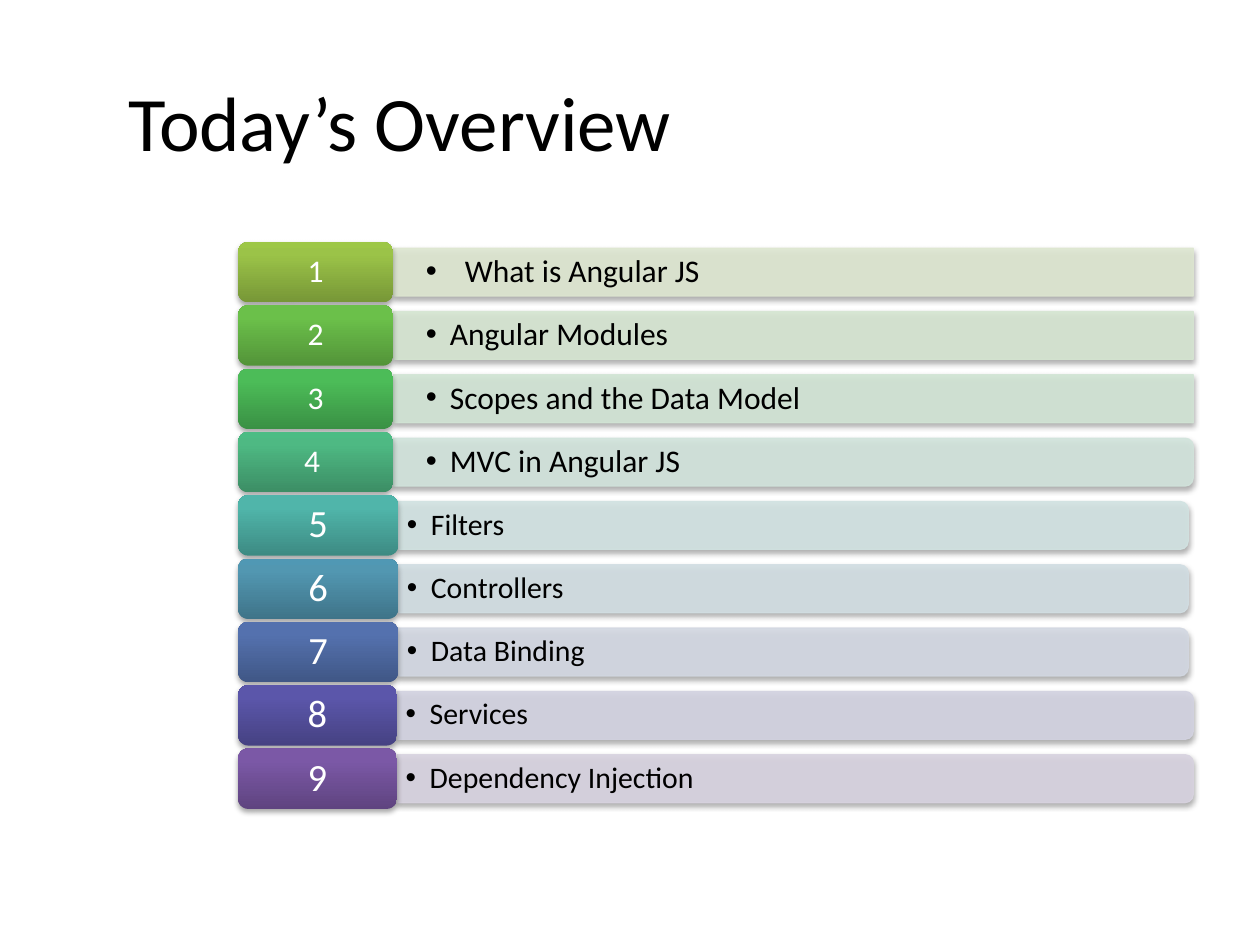
from lxml import etree
from pptx import Presentation
from pptx.dml.color import RGBColor
from pptx.enum.shapes import MSO_SHAPE
from pptx.enum.text import MSO_ANCHOR, PP_ALIGN
from pptx.oxml import parse_xml
from pptx.oxml.ns import nsdecls, qn
from pptx.util import Inches, Pt

RECT, ROUND_TOP = MSO_SHAPE.RECTANGLE, MSO_SHAPE.ROUND_2_SAME_RECTANGLE
ROUND = MSO_SHAPE.ROUNDED_RECTANGLE
MIDDLE = MSO_ANCHOR.MIDDLE
LEFT, CENTER = PP_ALIGN.LEFT, PP_ALIGN.CENTER
COLORS = {"text": "000000", "number": "FFFFFF", "shadow": "000000"}

GRID_LEFT, GRID_TOP = 1.89, 1.92
LAST_TOP = 5.94
CHIP_HEIGHT, BAR_HEIGHT = 0.48, 0.38

WIDE = {"chip": 1.23, "right": 9.47, "number": 18, "label": 18, "margin": 0.26, "hang": 0.19}
SMALL = {"chip": 1.27, "right": 9.43, "number": 22, "label": 17, "margin": 0.07, "hang": 0.19}
LOWER = SMALL | {"chip": 1.26, "right": 9.47}
TOPICS = [
    ("1", "What is Angular JS", RECT, WIDE | {"hang": 0.31}, "DEE7D1", ("779737", "9BC348", "9DC746")),
    ("2", "Angular Modules", RECT, WIDE, "D6E6D2", ("539439", "6BC04A", "6BC348")),
    ("3", "Scopes and the Data Model", RECT, WIDE, "D2E5D5", ("3A9144", "4CBC58", "4ABF57")),
    ("4 ", "MVC in Angular JS", ROUND_TOP, WIDE, "D2E4DC", ("3C8E65", "4EB983", "4CBC84")),
    ("5", "Filters", ROUND_TOP, SMALL, "D2E3E2", ("3D8B83", "50B5AA", "4EB8AC")),
    ("6", "Controllers", ROUND_TOP, SMALL, "D2DEE3", ("3F7489", "5297B1", "5098B4")),
    ("7", "Data Binding", ROUND_TOP, SMALL, "D3D8E2", ("405786", "5471AE", "5271B0")),
    ("8", "Services", ROUND_TOP, LOWER, "D3D3E1", ("464283", "5B56AA", "5A55AC")),
    ("9", "Dependency Injection", ROUND_TOP, LOWER, "D8D3E0", ("5F4480", "7B58A6", "7C57A8")),
]
ROW = (LAST_TOP - GRID_TOP) / (len(TOPICS) - 1)


def write(box, text, size, color, align, margin, spacing):
    frame = box.text_frame
    layout = {"word_wrap": True, "vertical_anchor": MIDDLE,
              "margin_left": Inches(margin), "margin_right": Inches(margin),
              "margin_top": Inches(0.05), "margin_bottom": Inches(0.05)}
    for name, value in layout.items():
        setattr(frame, name, value)
    para = frame.paragraphs[0]
    para.alignment, para.line_spacing = align, spacing
    span = para.add_run()
    span.text = text
    for name, value in {"name": "Calibri", "size": Pt(size)}.items():
        setattr(span.font, name, value)
    span.font.color.rgb = RGBColor.from_string(COLORS[color])
    return para


def add_shadow(shape):
    shape._element.spPr.append(parse_xml(
        f'<a:effectLst {nsdecls("a")}><a:outerShdw blurRad="40000" dist="23000" dir="5400000" rotWithShape="0">'
        f'<a:srgbClr val="{COLORS["shadow"]}"><a:alpha val="35000"/></a:srgbClr></a:outerShdw></a:effectLst>'))


deck = Presentation()
deck.slide_width, deck.slide_height = Inches(10), Inches(7.5)
page = deck.slides.add_slide(deck.slide_layouts[6])

title = page.shapes.add_textbox(Inches(0.92), Inches(0.33), Inches(8.83), Inches(1.25))
write(title, "Today’s Overview", 44, "text", LEFT, 0.1, 1.0)

for index, (number, topic, outline, style, tint, shades) in enumerate(TOPICS):
    top = GRID_TOP + index * ROW
    middle = top + CHIP_HEIGHT / 2
    bar_left = GRID_LEFT + style["chip"]
    bar_width = style["right"] - bar_left
    bar_center = bar_left + bar_width / 2

    bar = page.shapes.add_shape(outline, Inches(bar_center - BAR_HEIGHT / 2), Inches(middle - bar_width / 2),
                                Inches(BAR_HEIGHT), Inches(bar_width))
    bar.rotation = 90
    bar.fill.solid()
    bar.line.width = Pt(0.75)
    for paint in (bar.fill.fore_color, bar.line.color):
        paint.rgb = RGBColor.from_string(tint)
    for paint in bar._element.spPr.iter(qn("a:srgbClr")):
        etree.SubElement(paint, qn("a:alpha"), val="90000")
    add_shadow(bar)

    label = page.shapes.add_textbox(Inches(bar_left), Inches(middle - BAR_HEIGHT / 2),
                                    Inches(bar_width), Inches(BAR_HEIGHT))
    para = write(label, topic, style["label"], "text", LEFT, style["margin"], 0.9)
    bullet = para._p.get_or_add_pPr()
    bullet.set("marL", str(Inches(style["hang"])))
    bullet.set("indent", str(-Inches(style["hang"])))
    etree.SubElement(bullet, qn("a:buFont"), typeface="Arial")
    etree.SubElement(bullet, qn("a:buChar"), char="•")

    chip = page.shapes.add_shape(ROUND, Inches(GRID_LEFT), Inches(top), Inches(style["chip"]), Inches(CHIP_HEIGHT))
    chip.fill.gradient()
    chip.fill.gradient_angle = 90
    stops = chip._element.spPr.find(qn("a:gradFill")).find(qn("a:gsLst"))
    for stop in list(stops):
        stops.remove(stop)
    for position, shade in zip((0, 80, 100), shades):
        stop = etree.SubElement(stops, qn("a:gs"), pos=str(position * 1000))
        etree.SubElement(stop, qn("a:srgbClr"), val=shade)
    chip.line.fill.background()
    add_shadow(chip)
    write(chip, number, style["number"], "number", CENTER, 0.07, 0.9)

deck.save("out.pptx")
